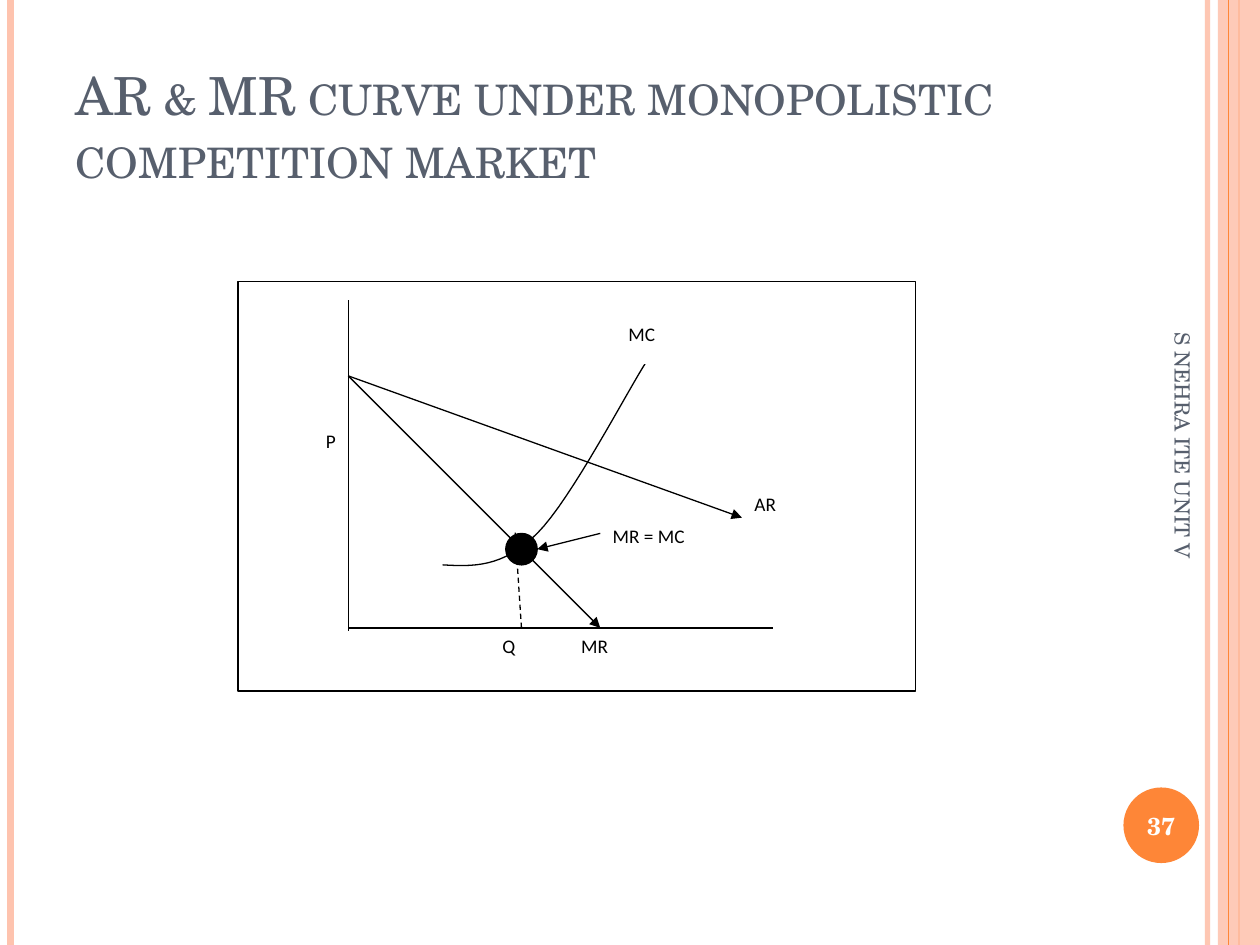
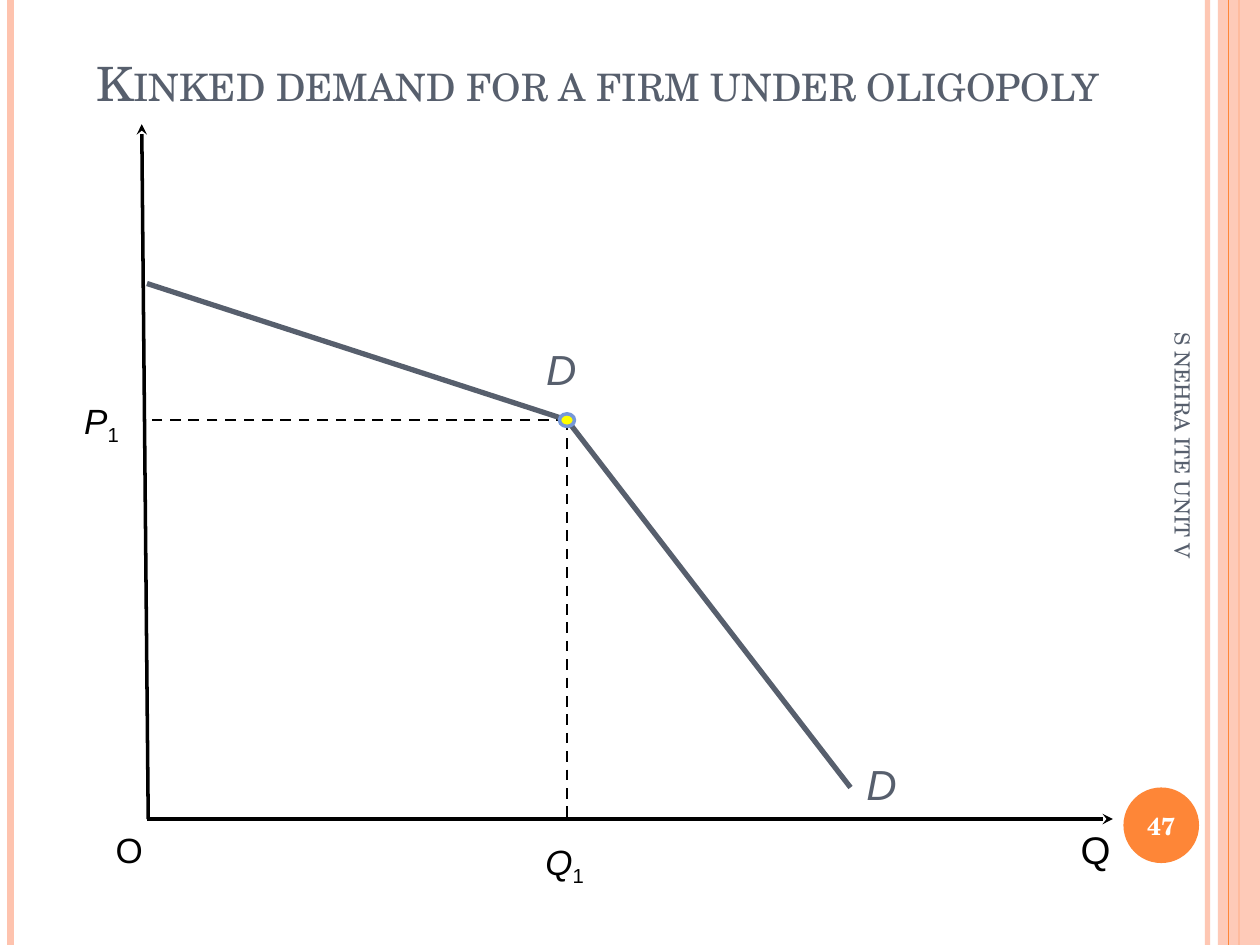
"""Two economics slides: monopolistic competition and kinked demand."""
import lxml.etree
import pptx
import pptx.dml.color
import pptx.enum.dml
import pptx.enum.shapes
import pptx.enum.text
import pptx.oxml.ns
import pptx.util

Pt = pptx.util.Pt
RGB = pptx.dml.color.RGBColor
SHAPE = pptx.enum.shapes.MSO_SHAPE
ALIGN = pptx.enum.text.PP_ALIGN
ANCHOR = pptx.enum.text.MSO_ANCHOR
DASH = pptx.enum.dml.MSO_LINE.DASH
qn = pptx.oxml.ns.qn

BLACK = RGB(0x00, 0x00, 0x00)
WHITE = RGB(0xFF, 0xFF, 0xFF)
SLATE = RGB(0x57, 0x5F, 0x6D)
PEACH = RGB(0xFE, 0xC3, 0xAE)
ORANGE = RGB(0xFE, 0x86, 0x37)
YELLOW = RGB(0xFF, 0xFF, 0x00)
BLUE = RGB(0x75, 0x98, 0xD9)

SERIF, SANS, LABEL = "TeX Gyre Schola", "Arial", "Calibri"
WIDE, HIGH = 720, 540
FOOT = "S NEHRA ITE UNIT V"


def fade(shape, share):
    """Make the colours of a shape partly clear; share is in percent."""
    for tint in shape.element.xpath(".//p:spPr//a:srgbClr"):
        lxml.etree.SubElement(tint, qn("a:alpha"), val=str(share * 1000))


def line(slide, start, end, color=BLACK, width=0.75, dash=None, tip=None):
    """Draw a straight line, with an arrowhead of kind tip at its end."""
    rule = slide.shapes.add_connector(
        pptx.enum.shapes.MSO_CONNECTOR.STRAIGHT, *map(Pt, (*start, *end)))
    rule.line.color.rgb = color
    rule.line.width = Pt(width)
    if dash:
        rule.line.dash_style = dash
    if tip:
        stroke = rule.element.spPr.find(qn("a:ln"))
        lxml.etree.SubElement(stroke, qn("a:tailEnd"), type=tip)
    lxml.etree.SubElement(rule.element.spPr, qn("a:effectLst"))
    return rule


def shape(slide, kind, box, fill, edge=None, width=0.75):
    """Add a flat preset shape; without an edge colour it has no outline."""
    item = slide.shapes.add_shape(kind, *map(Pt, box))
    item.shadow.inherit = False
    item.fill.solid()
    item.fill.fore_color.rgb = fill
    if edge is None:
        item.line.fill.background()
    else:
        item.line.color.rgb = edge
        item.line.width = Pt(width)
    return item


def write(para, text, font, size, color, bold=False, slant=False):
    """Add one run to a paragraph and return it."""
    run = para.add_run()
    run.text = text
    run.font.name = font
    run.font.size = Pt(size)
    run.font.bold = bold
    run.font.italic = slant
    run.font.color.rgb = color
    return run


def title(slide, box, text, size, anchor, shade=False):
    """Fill the title placeholder in small caps, with a shadow if asked."""
    head = slide.shapes.title
    head.left, head.top, head.width, head.height = map(Pt, box)
    frame = head.text_frame
    frame.word_wrap = True
    frame.auto_size = pptx.enum.text.MSO_AUTO_SIZE.NONE
    frame.vertical_anchor = anchor
    para = frame.paragraphs[0]
    para.alignment = ALIGN.LEFT
    props = write(para, text, SERIF, size, SLATE).font
    props = para.runs[0].font.fill and para.runs[0]._r.get_or_add_rPr()
    props.set("cap", "small")
    if shade:
        glow = lxml.etree.Element(qn("a:effectLst"))
        cast = lxml.etree.SubElement(glow, qn("a:outerShdw"), blurRad="0",
                                     dist=str(Pt(2)), dir="2700000")
        lxml.etree.SubElement(cast, qn("a:srgbClr"), val=str(BLACK))
        props.find(qn("a:solidFill")).addnext(glow)


def trim(slide, number):
    """Draw the side bands, the page number and the upright footer."""
    def band(x, color, width):
        return line(slide, (x, 0), (x, HIGH), color, width)

    fade(band(690, PEACH, 3), 93)
    band(6, PEACH, 4.5)
    band(708, ORANGE, 1.5)
    fade(shape(slide, SHAPE.RECTANGLE, (696, 0, WIDE - 696, HIGH), PEACH), 87)
    band(702, ORANGE, 0.75)

    disc = shape(slide, SHAPE.OVAL, (642, 450, 43.2, 43.2), ORANGE)
    disc.text_frame.word_wrap = False
    disc.text_frame.vertical_anchor = ANCHOR.MIDDLE
    para = disc.text_frame.paragraphs[0]
    para.alignment = ALIGN.CENTER
    write(para, str(number), SERIF, 14, WHITE, bold=True)

    foot = slide.shapes.add_textbox(*map(Pt, (550, 294.5, 252, 28.8)))
    foot.rotation = 90
    foot.text_frame.word_wrap = True
    foot.text_frame.vertical_anchor = ANCHOR.MIDDLE
    write(foot.text_frame.paragraphs[0], FOOT, SERIF, 12, SLATE)


def bend(knots, steps=16):
    """Return points along a chain of cubic curves that share end knots."""
    points = [knots[0]]
    for first in range(0, len(knots) - 1, 3):
        a, b, c, d = knots[first:first + 4]
        for step in range(1, steps + 1):
            t = step / steps
            s = 1 - t
            points.append(tuple(
                s**3 * p + 3 * s * s * t * q + 3 * s * t * t * r + t**3 * e
                for p, q, r, e in zip(a, b, c, d)))
    return points


def market(slide, box):
    """Draw the AR, MR and MC curves on a 43 by 26 grid inside the box."""
    left, top, width, _ = box
    unit = width / 43

    def at(x, y):
        """Turn grid steps right of and above the origin into points."""
        return left + (7 + x) * unit, top + (22 - y) * unit

    def label(text, x, y, wide=5, align=ALIGN.LEFT):
        tag = shape(slide, SHAPE.RECTANGLE,
                    (*at(x, y), wide * unit, 3 * unit), WHITE, WHITE)
        tag.text_frame.word_wrap = True
        tag.text_frame.vertical_anchor = ANCHOR.TOP
        para = tag.text_frame.paragraphs[0]
        para.alignment = align
        para.space_after = Pt(10)
        write(para, text, LABEL, 11, BLACK)

    shape(slide, SHAPE.RECTANGLE, box, WHITE, BLACK)
    line(slide, at(11, 0), at(10.6, 6.1), dash=DASH)
    shape(slide, SHAPE.OVAL, (*at(10, 6), 2 * unit, 2 * unit), BLACK, BLACK)
    line(slide, at(0, 16), at(16, 0), tip="triangle")
    label("AR", 25, 9)
    label("MR = MC", 16, 7, wide=10)
    label("MR", 14, 0)
    label("Q", 9, 0)
    label("P", -4, 13, wide=4, align=ALIGN.RIGHT)
    line(slide, at(0, 0), at(27, 0))
    line(slide, at(0, 16), at(25, 7), tip="triangle")

    knots = [(6, 4), (7.9, 3.9), (9.8, 3.8), (12, 6),
             (14.2, 8.2), (17.8, 15.2), (19, 17)]
    points = [tuple(map(Pt, at(*knot))) for knot in bend(knots)]
    pen = slide.shapes.build_freeform(*points[0])
    pen.add_line_segments(points[1:], close=False)
    cost = pen.convert_to_shape()
    cost.shadow.inherit = False
    cost.fill.background()
    cost.line.color.rgb = BLACK
    cost.line.width = Pt(0.75)

    line(slide, at(16, 6), at(12, 5), tip="triangle")
    label("MC", 17, 19.8)
    line(slide, at(0, 20.8), at(0, -0.2))


def kinked(slide, box):
    """Draw the kinked demand curve on axes along the box's left and foot."""
    left, top, width, height = box

    def at(x, y):
        """Place a point right of and above the origin."""
        return left + x, top + height - y

    def label(x, y, wide, high, text, size, color=BLACK, slant=True, sub=""):
        tag = slide.shapes.add_textbox(*map(Pt, (*at(x, y), wide, high)))
        tag.text_frame.word_wrap = False
        para = tag.text_frame.paragraphs[0]
        write(para, text, SANS, size, color, slant=slant)
        if sub:
            low = write(para, sub, SANS, size, color)
            low._r.get_or_add_rPr().set("baseline", "-25000")

    kink = (240, 228)
    shape(slide, SHAPE.RECTANGLE, box, WHITE)
    line(slide, at(0.7, 0), at(-3, 397), width=2, tip="stealth")
    line(slide, at(0, 0), at(width, 0), width=2, tip="stealth")
    line(slide, at(*kink), at(0, kink[1]), width=1.5, dash=DASH)
    line(slide, at(*kink), at(kink[0], 0), width=1.5, dash=DASH)
    line(slide, at(0, 306), at(*kink), SLATE, 3)
    line(slide, at(*kink), at(402, 18), SLATE, 3)
    label(526.5, -0.7, 31.7, 34, "Q", 22, slant=False)
    label(-25, -2, 30, 31, "O", 20, slant=False)
    label(-43, 243.5, 35.3, 31, "P", 20, sub="1")
    label(220.5, -8.5, 37.4, 31, "Q", 20, sub="1")
    label(404, 38, 32, 36, "D", 24, SLATE)
    label(221, 275, 32, 36, "D", 24, SLATE)
    x, y = at(*kink)
    shape(slide, SHAPE.OVAL, (x - 4.3, y - 3.5, 8.6, 7.2), YELLOW, BLUE, 2)


def main():
    """Build both slides and save them."""
    deck = pptx.Presentation()
    deck.slide_width, deck.slide_height = Pt(WIDE), Pt(HIGH)
    plain = deck.slide_layouts[5]

    slide = deck.slides.add_slide(plain)
    trim(slide, 37)
    title(slide, (36, 21.6, 588, 90),
          "AR & MR curve under monopolistic competition market",
          30, ANCHOR.BOTTOM)
    market(slide, (136, 160.8, 387, 234))

    slide = deck.slides.add_slide(plain)
    trim(slide, 47)
    title(slide, (48, 23, 630, 48),
          "Kinked demand for a firm under oligopoly",
          27, ANCHOR.MIDDLE, shade=True)
    kinked(slide, (84, 88.5, 552, 379.5))

    deck.save("out.pptx")


main()
